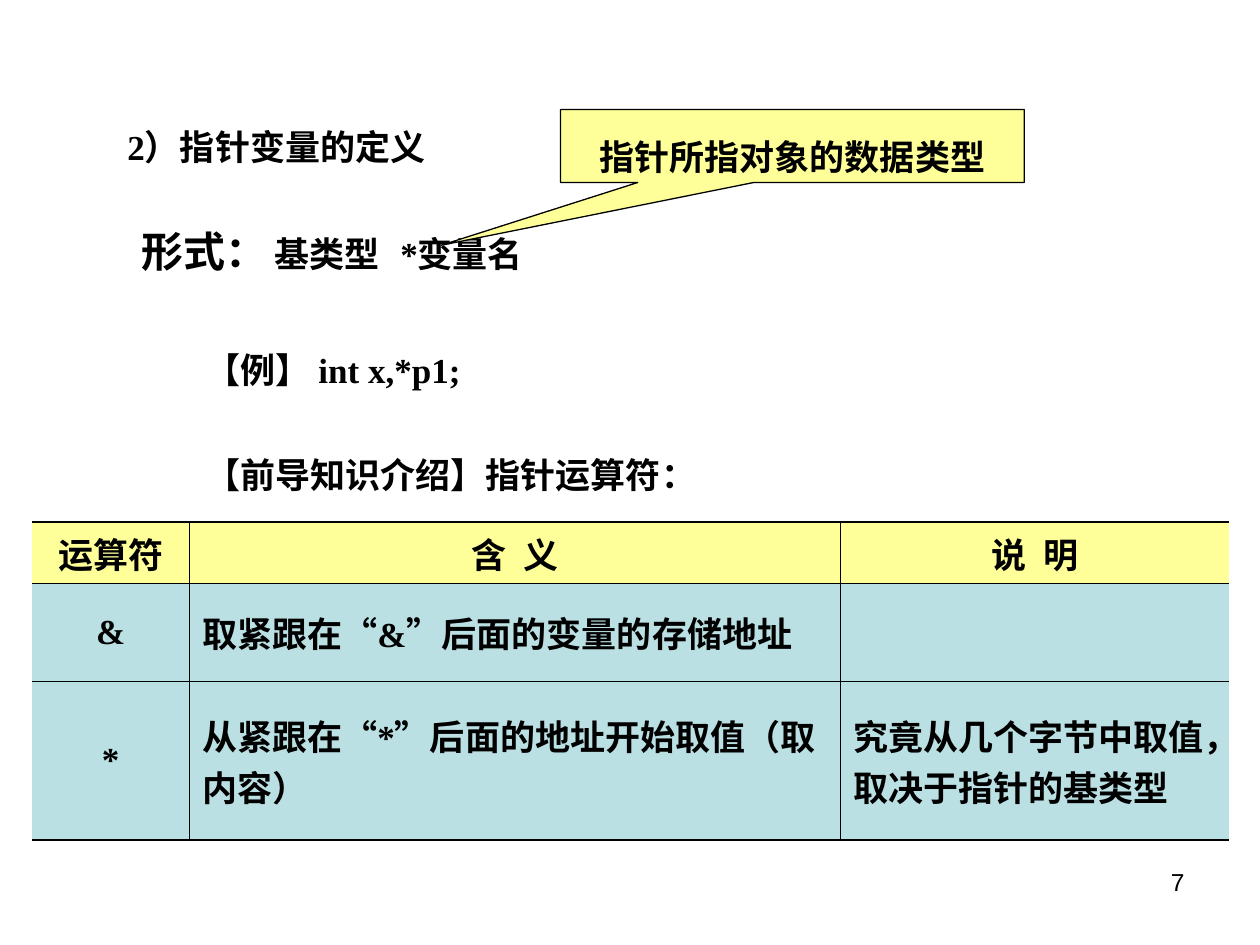
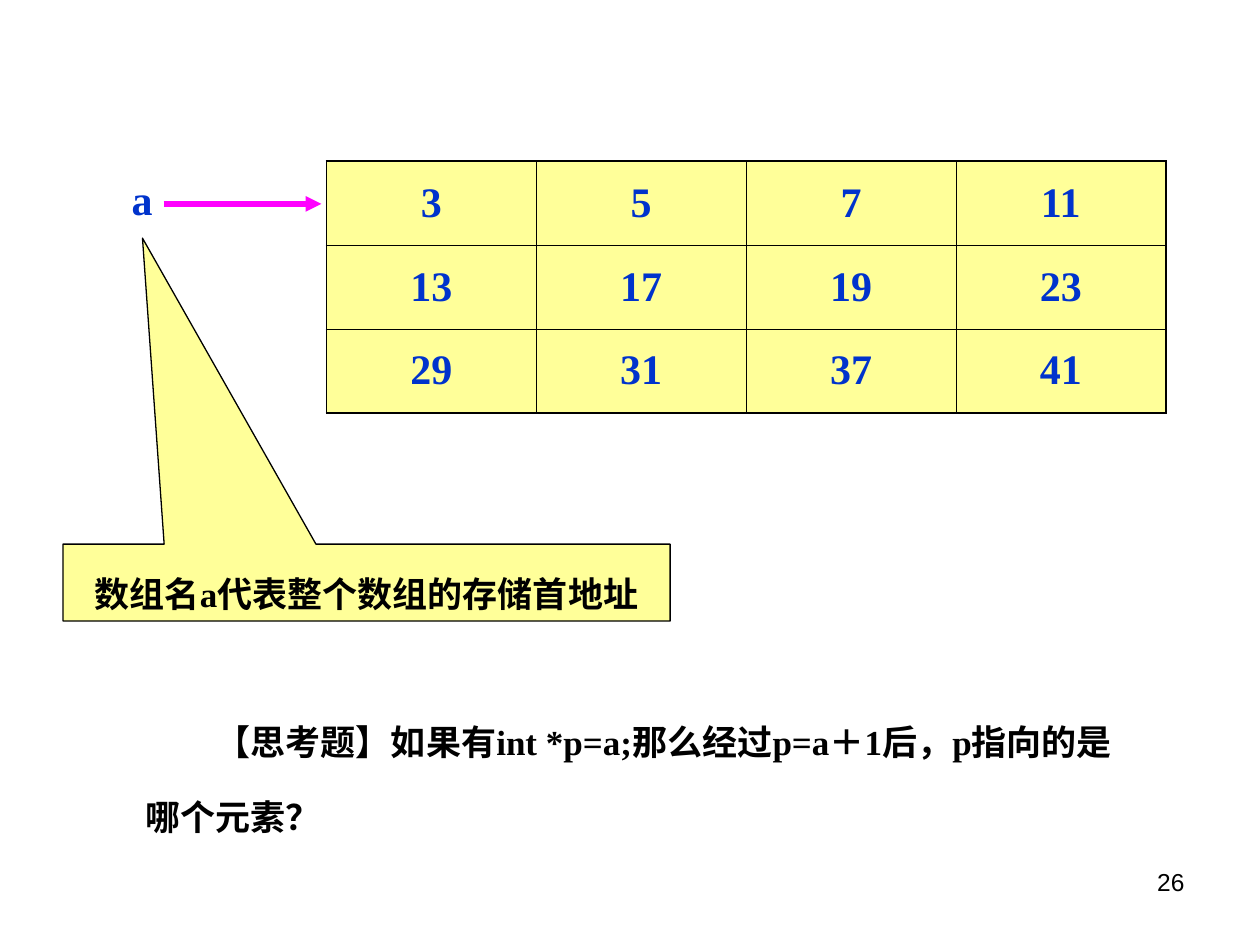
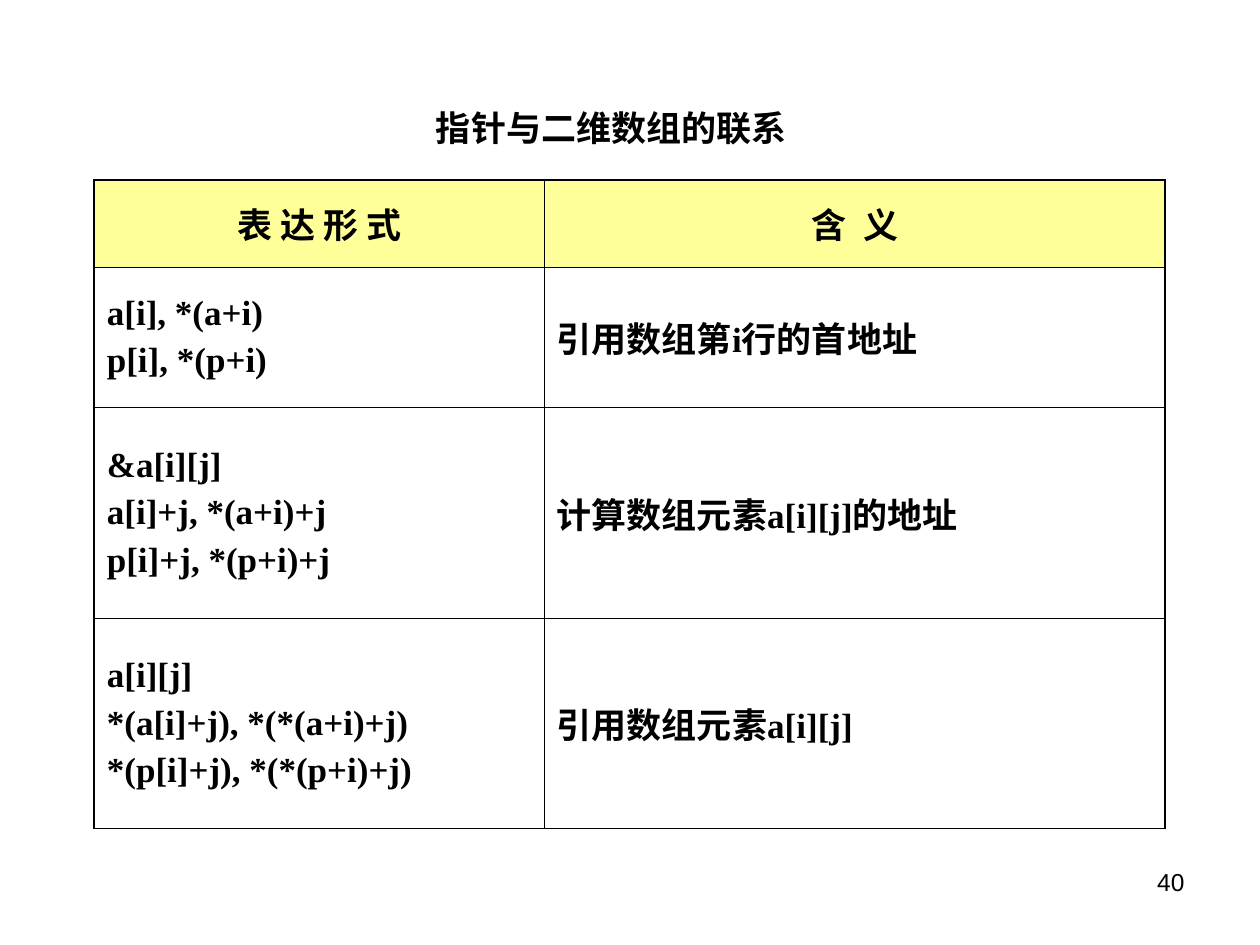
from dataclasses import dataclass
from lxml.etree import SubElement
from pptx import Presentation
from pptx.dml.color import RGBColor
from pptx.enum.shapes import MSO_CONNECTOR, MSO_SHAPE
from pptx.enum.text import MSO_ANCHOR, MSO_AUTO_SIZE, PP_ALIGN
from pptx.oxml.ns import qn
from pptx.util import Cm, Pt

BLACK, BLUE, MAGENTA = "000000", "0033CC", "FF00FF"
YELLOW, TEAL = "FFFF99", "BBE0E3"
THIN, THICK = 0.45, 1.08
LEFT, CENTER, RIGHT = PP_ALIGN.LEFT, PP_ALIGN.CENTER, PP_ALIGN.RIGHT


@dataclass(frozen=True)
class Run:
    text: str
    size: float = 20
    color: str = BLACK
    bold: bool = True
    font: str = "Times New Roman"
    spacing: float = 0


@dataclass(frozen=True)
class Para:
    runs: tuple[Run, ...]
    align: PP_ALIGN = LEFT
    line: float = 1.0
    before: float = 0
    indent: float = 0
    tabs: tuple[float, ...] = ()


@dataclass(frozen=True)
class Box:
    left: float
    top: float
    width: float
    height: float

    def lengths(self) -> tuple:
        return Cm(self.left), Cm(self.top), Cm(self.width), Cm(self.height)


@dataclass(frozen=True)
class Cell:
    paras: tuple[Para, ...] = ()
    fill: str = ""


@dataclass(frozen=True)
class Grid:
    left: float
    top: float
    cols: tuple[float, ...]
    rows: tuple[float, ...]
    side: float = THICK


def rgb(value: str) -> RGBColor:
    return RGBColor.from_string(value)


def line(text: str, align: PP_ALIGN = LEFT, spacing: float = 1.0, indent: float = 0) -> Para:
    return Para((Run(text),), align, spacing, indent=indent)


def write(tf, paras: tuple[Para, ...]) -> None:
    for i, para in enumerate(paras):
        p = tf.add_paragraph() if i else tf.paragraphs[0]
        pPr = p._p.get_or_add_pPr()
        if para.indent:
            pPr.set("marL", "0")
            pPr.set("indent", str(Cm(para.indent)))
        if para.tabs:
            stops = SubElement(pPr, qn("a:tabLst"))
            for pos in para.tabs:
                SubElement(stops, qn("a:tab"), pos=str(Cm(pos)), algn="l")
        p.alignment = para.align
        p.line_spacing = para.line
        p.space_before = Pt(para.before)
        for run in para.runs:
            r = p.add_run()
            r.text = run.text
            r.font.name = run.font
            r.font.size = Pt(run.size)
            r.font.bold = run.bold
            r.font.color.rgb = rgb(run.color)
            if run.spacing:
                r._r.get_or_add_rPr().set("spc", str(int(run.spacing * 100)))


def add_text(s, box: Box, *paras: Para, grow: bool = True) -> None:
    tf = s.shapes.add_textbox(*box.lengths()).text_frame
    tf.word_wrap = True
    tf.auto_size = MSO_AUTO_SIZE.SHAPE_TO_FIT_TEXT if grow else MSO_AUTO_SIZE.NONE
    write(tf, paras)


def add_callout(s, box: Box, tip: tuple[float, float], text: str) -> None:
    sp = s.shapes.add_shape(MSO_SHAPE.RECTANGULAR_CALLOUT, *box.lengths())
    sp.adjustments[0], sp.adjustments[1] = tip
    sp.shadow.inherit = False
    sp.fill.solid()
    sp.fill.fore_color.rgb = rgb(YELLOW)
    sp.line.color.rgb = rgb(BLACK)
    sp.line.width = Pt(0.75)
    sp.text_frame.word_wrap = True
    sp.text_frame.vertical_anchor = MSO_ANCHOR.MIDDLE
    write(sp.text_frame, (line(text, CENTER, 1.5),))


def add_arrow(s, x1: float, x2: float, y: float) -> None:
    cxn = s.shapes.add_connector(MSO_CONNECTOR.STRAIGHT, Cm(x1), Cm(y), Cm(x2), Cm(y))
    cxn.line.color.rgb = rgb(MAGENTA)
    cxn.line.width = Pt(3)
    SubElement(cxn.line._get_or_add_ln(), qn("a:tailEnd"), type="triangle")
    SubElement(cxn._element.spPr, qn("a:effectLst"))


def add_border(cell, tag: str, width: float) -> None:
    ln = SubElement(cell._tc.get_or_add_tcPr(), qn(f"a:{tag}"), w=str(Pt(width)))
    if width:
        fill = SubElement(ln, qn("a:solidFill"))
        SubElement(fill, qn("a:srgbClr"), val=BLACK)
    else:
        SubElement(ln, qn("a:noFill"))


def add_grid(s, grid: Grid, content: list[list[Cell]]) -> None:
    last_row, last_col = len(grid.rows) - 1, len(grid.cols) - 1
    box = Box(grid.left, grid.top, sum(grid.cols), sum(grid.rows))
    table = s.shapes.add_table(last_row + 1, last_col + 1, *box.lengths()).table
    table.first_row = table.horz_banding = False
    for column, width in zip(table.columns, grid.cols):
        column.width = Cm(width)
    for row, height in zip(table.rows, grid.rows):
        row.height = Cm(height)
    for i, cells in enumerate(content):
        for j, item in enumerate(cells):
            cell = table.cell(i, j)
            add_border(cell, "lnL", THIN if j else grid.side)
            add_border(cell, "lnR", THIN if j < last_col else grid.side)
            add_border(cell, "lnT", THIN if i else THICK)
            add_border(cell, "lnB", THIN if i < last_row else THICK)
            if item.fill:
                cell.fill.solid()
                cell.fill.fore_color.rgb = rgb(item.fill)
            else:
                cell.fill.background()
            cell.vertical_anchor = MSO_ANCHOR.MIDDLE
            write(cell.text_frame, item.paras)


def head(text: str, spacing: float = 0) -> Cell:
    return Cell((Para((Run(text, spacing=spacing),), CENTER),), YELLOW)


def body(*texts: str, fill: str = "", align: PP_ALIGN = LEFT) -> Cell:
    return Cell(tuple(Para((Run(t),), align, before=5 if i else 0)
                      for i, t in enumerate(texts)), fill)


def add_page_number(s, number: int) -> None:
    run = Run(str(number), 14, bold=False, font="Arial")
    add_text(s, Box(18.21, 17.35, 5.92, 1.32), Para((run,), RIGHT), grow=False)


def pointer_definition(s) -> None:
    add_text(
        s, Box(1.47, 1.98, 21.39, 4.04),
        line("2）指针变量的定义", spacing=1.5, indent=0.85),
        Para((Run("形式：", 24), Run("\t", 32, bold=False), Run("基类型\t*变量名")),
             line=1.5, before=6.2, indent=1.14, tabs=(4.2, 6.98)))
    add_callout(s, Box(11.3, 2.21, 9.35, 1.47), (-0.757, 1.36), "指针所指对象的数据类型")
    add_text(s, Box(3.89, 6.91, 7.8, 1.12), line("【例】 int x,*p1;"))
    add_grid(s, Grid(0.64, 10.52, (3.18, 13.13, 7.82), (1.24, 1.98, 3.2), side=0), [
        [head("运算符"), head("含 义", 2.5), head("说 明", 2.5)],
        [body("&", fill=TEAL, align=CENTER),
         body("取紧跟在“&”后面的变量的存储地址", fill=TEAL),
         Cell(fill=TEAL)],
        [body("*", fill=TEAL, align=CENTER),
         body("从紧跟在“*”后面的地址开始取值（取内容）", fill=TEAL),
         body("究竟从几个字节中取值，取决于指针的基类型", fill=TEAL)],
    ])
    add_text(s, Box(3.89, 9.02, 14.81, 1.12), line("【前导知识介绍】指针运算符："))


def array_address(s) -> None:
    primes = [[3, 5, 7, 11], [13, 17, 19, 23], [29, 31, 37, 41]]
    add_grid(s, Grid(6.58, 3.25, (4.23,) * 4, (1.69,) * 3), [
        [Cell((Para((Run(str(n), 24, BLUE),), CENTER),), YELLOW) for n in row]
        for row in primes])
    add_text(s, Box(2.13, 3.38, 1.47, 1.27), Para((Run("a", 24, BLUE),), CENTER))
    add_arrow(s, 3.3, 6.48, 4.11)
    add_callout(s, Box(1.27, 10.97, 12.24, 1.55), (-0.369, -4.48),
                "数组名a代表整个数组的存储首地址")
    add_text(s, Box(2.69, 13.72, 20.57, 3.3),
             line("【思考题】如果有int *p=a;那么经过p=a＋1后，p指向的是哪个元素？",
                  spacing=1.8, indent=1.41))


def array_expressions(s) -> None:
    add_text(s, Box(6.71, 2.03, 11.23, 1.12), line("指针与二维数组的联系", CENTER))
    add_grid(s, Grid(1.9, 3.63, (9.07, 12.52), (1.75, 2.84, 4.24, 4.24)), [
        [head("表 达 形 式"), head("含 义", 2.5)],
        [body("a[i], *(a+i)", "p[i], *(p+i)"), body("引用数组第i行的首地址")],
        [body("&a[i][j]", "a[i]+j, *(a+i)+j", "p[i]+j, *(p+i)+j"),
         body("计算数组元素a[i][j]的地址")],
        [body("a[i][j]", "*(a[i]+j), *(*(a+i)+j)", "*(p[i]+j), *(*(p+i)+j)"),
         body("引用数组元素a[i][j]")],
    ])


def main() -> None:
    prs = Presentation()
    prs.slide_width, prs.slide_height = Cm(25.4), Cm(19.05)
    pages = {7: pointer_definition, 26: array_address, 40: array_expressions}
    for number, build in pages.items():
        s = prs.slides.add_slide(prs.slide_layouts[6])
        build(s)
        add_page_number(s, number)
    prs.save("out.pptx")


if __name__ == "__main__":
    main()
